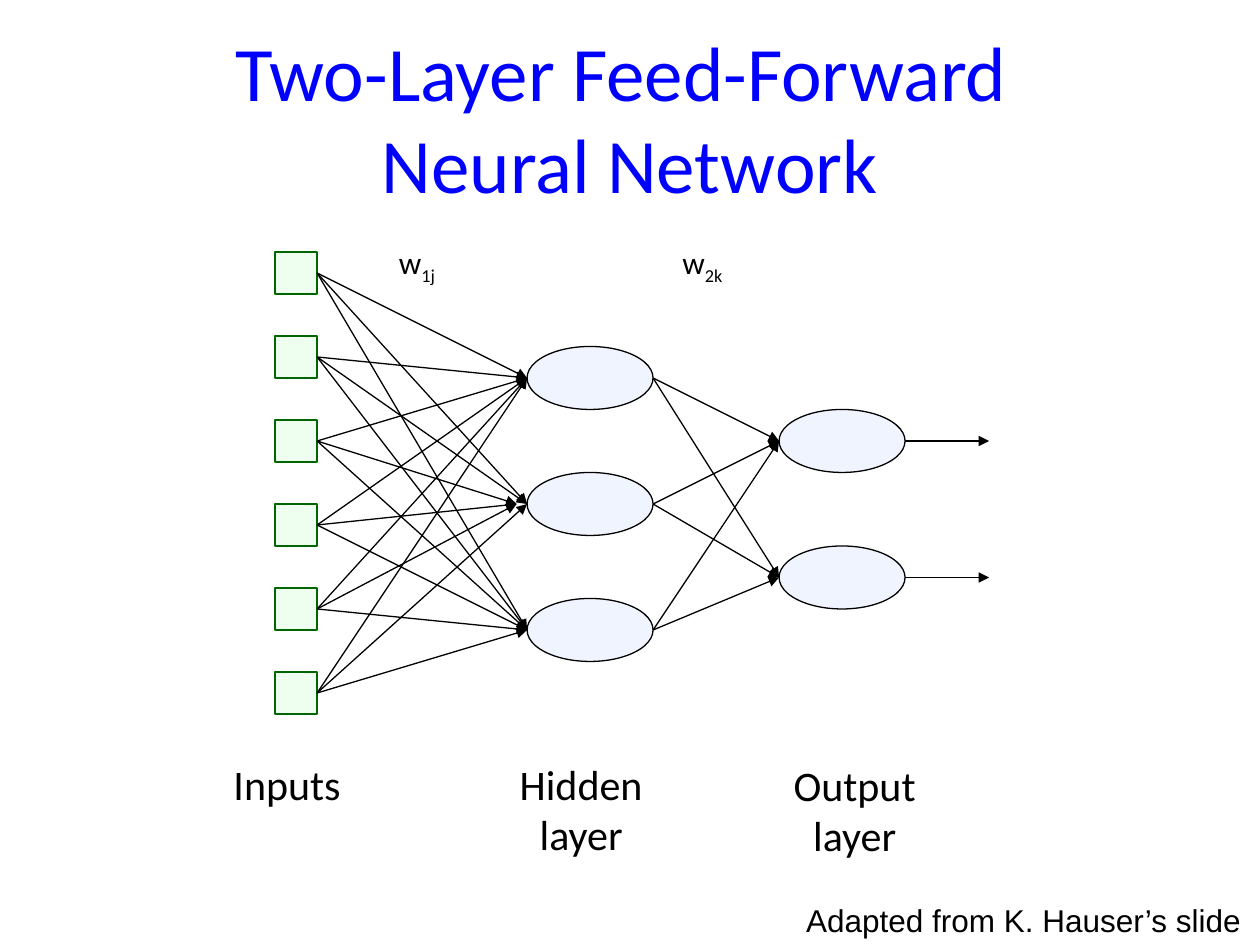
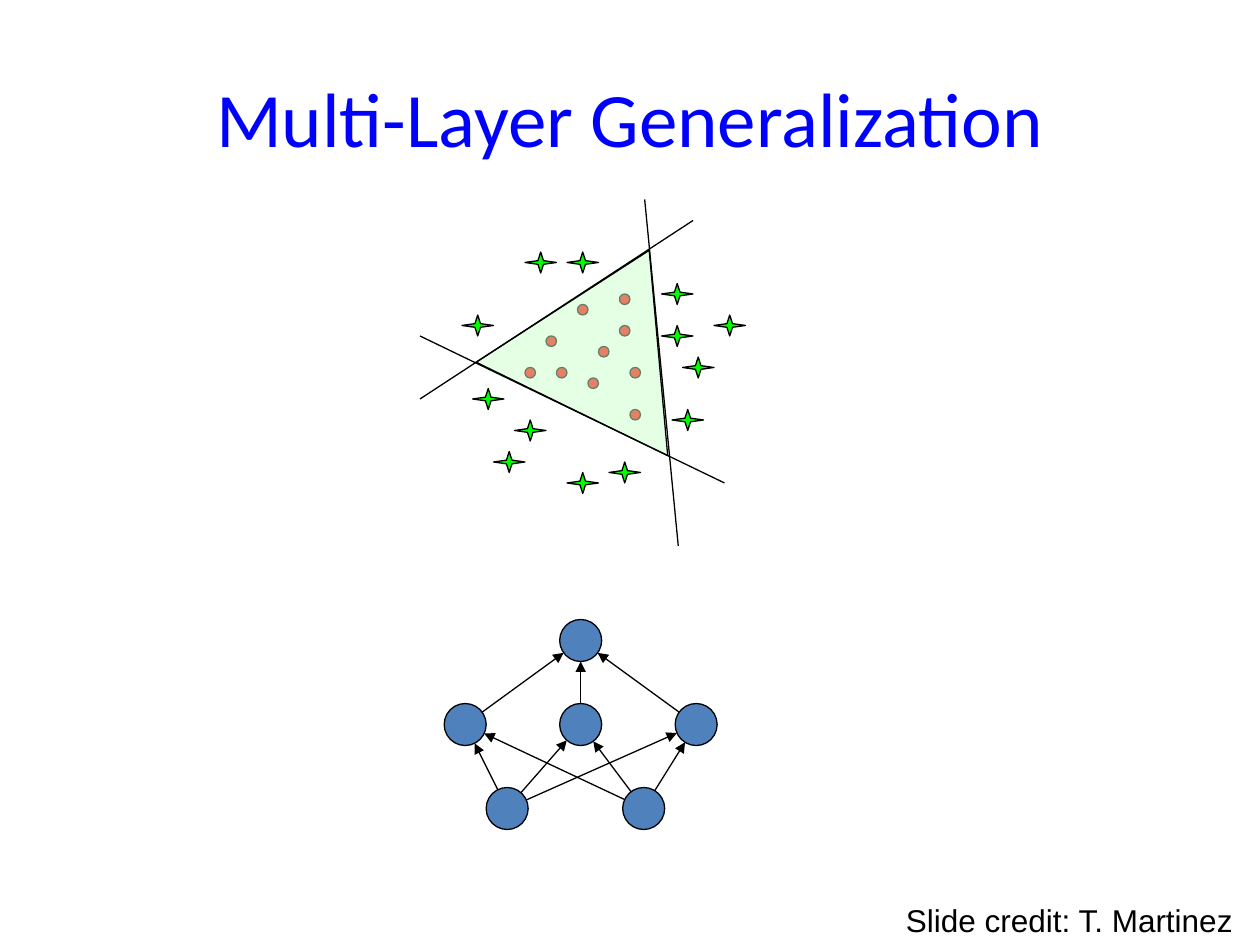
"""Build two slides on multi-layer neural networks."""
from dataclasses import dataclass
from itertools import pairwise, product
from math import hypot

from lxml.etree import SubElement
from pptx import Presentation
from pptx.dml.color import RGBColor
from pptx.enum.shapes import MSO_CONNECTOR as Connector, MSO_SHAPE as Preset
from pptx.enum.text import MSO_ANCHOR as Anchor, PP_ALIGN as Align
from pptx.oxml.ns import qn
from pptx.util import Inches, Pt


@dataclass(frozen=True)
class Theme:
    """Colours, fonts and sizes that the slides share."""
    title: str = "0000FF"
    ink: str = "000000"
    neuron: str = "F0F4FE"
    input_fill: str = "EFFFEF"
    input_line: str = "006600"
    star: str = "00FF00"
    dot: str = "FF0000"
    region: str = "CCFFCC"
    node: str = "4F81BD"
    font: str = "Calibri"
    credit_font: str = "Arial"
    title_size: int = 44
    label_size: int = 24
    small_size: int = 18
    line_width: float = 0.75


THEME = Theme()
WIDTH, HEIGHT = Inches(10), Inches(7.5)
COLUMNS, ROWS = 120, 90
TITLE_ONLY = 5

INPUT_ROWS = range(24, 72, 8)
HIDDEN_ROWS = (33, 45, 57)
OUTPUT_ROWS = (39, 52)
INPUT_COLUMN, HIDDEN_COLUMN, OUTPUT_COLUMN = 26.2, 50.2, 74.2
SQUARE = 4
NEURON_WIDTH, NEURON_HEIGHT = 12, 6
NODE = 4

STARS = ((50, 24), (54, 24), (44, 30), (45, 37), (49, 40), (47, 43), (54, 45),
         (58, 44), (64, 39), (65, 34), (68, 30), (63, 31), (63, 27))
DOTS = ((53, 35), (57, 33), (55, 29), (52, 32), (56, 36),
        (59, 31), (60, 35), (59, 28), (50, 35), (60, 39))
BOUNDARIES = ((40, 32, 69, 46), (61.4, 19, 64.6, 52), (40, 38, 66, 21))
NODE_LAYERS = (
    [(46.3, 75), (59.3, 75)],
    [(42.3, 67), (53.3, 67), (64.3, 67)],
    [(53.3, 59)],
)


def apply_format(target, values):
    """Set each attribute of the target from a dict."""
    for name, value in values.items():
        setattr(target, name, value)


def across(columns):
    """Turn grid columns into a length."""
    return round(WIDTH * columns / COLUMNS)


def down(rows):
    """Turn grid rows into a length."""
    return round(HEIGHT * rows / ROWS)


def frame(left, top, width, height):
    """Turn a grid box into position and size values."""
    return {"left": across(left), "top": down(top),
            "width": across(width), "height": down(height)}


def style_run(run, size, color=THEME.ink, font=THEME.font):
    """Format one run of text."""
    apply_format(run.font, {"name": font, "size": Pt(size)})
    run.font.color.rgb = RGBColor.from_string(color)


def style_line(line, color=THEME.ink):
    """Format an outline or a connector line."""
    line.color.rgb = RGBColor.from_string(color)
    line.width = Pt(THEME.line_width)


def add_titled_slide(presentation, title):
    """Add a slide with a formatted title."""
    slide = presentation.slides.add_slide(presentation.slide_layouts[TITLE_ONLY])
    placeholder = slide.shapes.title
    apply_format(placeholder, frame(6, 3.6, 108, 15))
    text_frame = placeholder.text_frame
    text_frame.text = title
    text_frame.vertical_anchor = Anchor.MIDDLE
    paragraph = text_frame.paragraphs[0]
    paragraph.alignment = Align.CENTER
    for run in paragraph.runs:
        style_run(run, THEME.title_size, THEME.title)
    return slide


def add_preset(slide, preset, box, fill, line=THEME.ink):
    """Add a filled and outlined preset shape."""
    shape = slide.shapes.add_shape(preset, **frame(*box))
    shape.shadow.inherit = False
    shape.fill.solid()
    shape.fill.fore_color.rgb = RGBColor.from_string(fill)
    style_line(shape.line, line)
    return shape


def add_line(slide, start, end, arrow=False):
    """Add a straight line, with an arrowhead at its end on request."""
    connector = slide.shapes.add_connector(
        Connector.STRAIGHT, across(start[0]), down(start[1]),
        across(end[0]), down(end[1]))
    style_line(connector.line)
    properties = connector._element.spPr
    if arrow:
        SubElement(properties.find(qn("a:ln")), qn("a:tailEnd"), type="triangle")
    SubElement(properties, qn("a:effectLst"))


def add_label(slide, box, lines, size, font=THEME.font, align=Align.LEFT):
    """Add an unwrapped text box and return its last paragraph."""
    text_frame = slide.shapes.add_textbox(**frame(*box)).text_frame
    text_frame.word_wrap = False
    text_frame.text = "\n".join(lines)
    for paragraph in text_frame.paragraphs:
        paragraph.alignment = align
        style_run(paragraph.runs[0], size, font=font)
    return paragraph


def add_weight(slide, left, index):
    """Add a weight symbol with a subscript index."""
    paragraph = add_label(slide, (left, 22.6, 6.4, 4.8), ["w"], THEME.small_size)
    run = paragraph.add_run()
    run.text = index
    style_run(run, THEME.small_size)
    run._r.get_or_add_rPr().set("baseline", "-25000")


def add_credit(slide, left, width, text):
    """Add the source credit at the foot of the slide."""
    add_label(slide, (left, 85.2, width, 4.8), [text],
              THEME.small_size, THEME.credit_font)


def add_neurons(slide, column, rows):
    """Add a column of neurons and return the rows of their centres."""
    for row in rows:
        add_preset(slide, Preset.OVAL,
                   (column, row, NEURON_WIDTH, NEURON_HEIGHT), THEME.neuron)
    return [row + NEURON_HEIGHT / 2 for row in rows]


def add_feed_forward(slide):
    """Draw the inputs, both layers and their connections."""
    hidden = add_neurons(slide, HIDDEN_COLUMN, HIDDEN_ROWS)
    outputs = add_neurons(slide, OUTPUT_COLUMN, OUTPUT_ROWS)
    for row in INPUT_ROWS:
        add_preset(slide, Preset.RECTANGLE, (INPUT_COLUMN, row, SQUARE, SQUARE),
                   THEME.input_fill, THEME.input_line)
    inputs = [row + SQUARE / 2 for row in INPUT_ROWS]
    for source, target in product(inputs, hidden):
        shortened = target == hidden[1] and source in inputs[2:5]
        add_line(slide, (INPUT_COLUMN + SQUARE, source),
                 (HIDDEN_COLUMN - shortened, target), arrow=True)
    for source, target in product(hidden, outputs):
        add_line(slide, (HIDDEN_COLUMN + NEURON_WIDTH, source),
                 (OUTPUT_COLUMN, target), arrow=True)
    output_edge = OUTPUT_COLUMN + NEURON_WIDTH
    for row in outputs:
        add_line(slide, (output_edge, row), (output_edge + 8, row), arrow=True)


def add_decision_region(slide):
    """Draw the two classes, the region and its boundaries."""
    for left, top in STARS:
        star = add_preset(slide, Preset.STAR_4_POINT, (left, top, 3, 2), THEME.star)
        star.adjustments[0] = 0.125
    for left, top in DOTS:
        add_preset(slide, Preset.OVAL, (left, top, 1, 1), THEME.dot)
    region = add_preset(slide, Preset.ISOSCELES_TRIANGLE,
                        (48, 23, 20.3, 16.8), THEME.region)
    region.rotation = 26
    color = region._element.spPr.find(qn("a:solidFill"))[0]
    SubElement(color, qn("a:alpha"), val="50000")
    for left, top, right, bottom in BOUNDARIES:
        add_line(slide, (left, top), (right, bottom))


def link_nodes(slide, source, target):
    """Draw an arrow from the rim of one node to the rim of another."""
    radius = NODE / 2
    rise, run = target[1] - source[1], target[0] - source[0]
    share = radius / hypot(run, rise)
    start = (source[0] + radius + run * share, source[1] + radius + rise * share)
    end = (target[0] + radius - run * share, target[1] + radius - rise * share)
    add_line(slide, start, end, arrow=True)


def add_node_network(slide):
    """Draw the layers of nodes and link neighbouring layers."""
    for layer in NODE_LAYERS:
        for left, top in layer:
            add_preset(slide, Preset.OVAL, (left, top, NODE, NODE), THEME.node)
    for lower, upper in pairwise(NODE_LAYERS):
        for source, target in product(lower, upper):
            link_nodes(slide, source, target)


def build_network_slide(presentation):
    """Build the slide on the two-layer network."""
    slide = add_titled_slide(presentation, "Two-Layer Feed-Forward \vNeural Network")
    add_feed_forward(slide)
    for box, lines in (
        ((21, 71.6, 12.7, 6.1), ["Inputs"]),
        ((48.2, 71.6, 14.3, 10.9), ["Hidden", "layer"]),
        ((74.3, 71.7, 14.2, 10.9), ["Output", "layer"]),
    ):
        add_label(slide, box, lines, THEME.label_size, align=Align.CENTER)
    add_weight(slide, 36.8, "1j")
    add_weight(slide, 63.8, "2k")
    add_credit(slide, 75.6, 44.4, "Adapted from K. Hauser’s slide")


def build_generalization_slide(presentation):
    """Build the slide on multi-layer generalization."""
    slide = add_titled_slide(presentation, "Multi-Layer Generalization")
    add_decision_region(slide)
    add_node_network(slide)
    add_credit(slide, 85.1, 33.8, "Slide credit: T. Martinez")


def main():
    """Build and save the presentation."""
    presentation = Presentation()
    apply_format(presentation, {"slide_width": WIDTH, "slide_height": HEIGHT})
    build_network_slide(presentation)
    build_generalization_slide(presentation)
    presentation.save("out.pptx")


if __name__ == "__main__":
    main()
